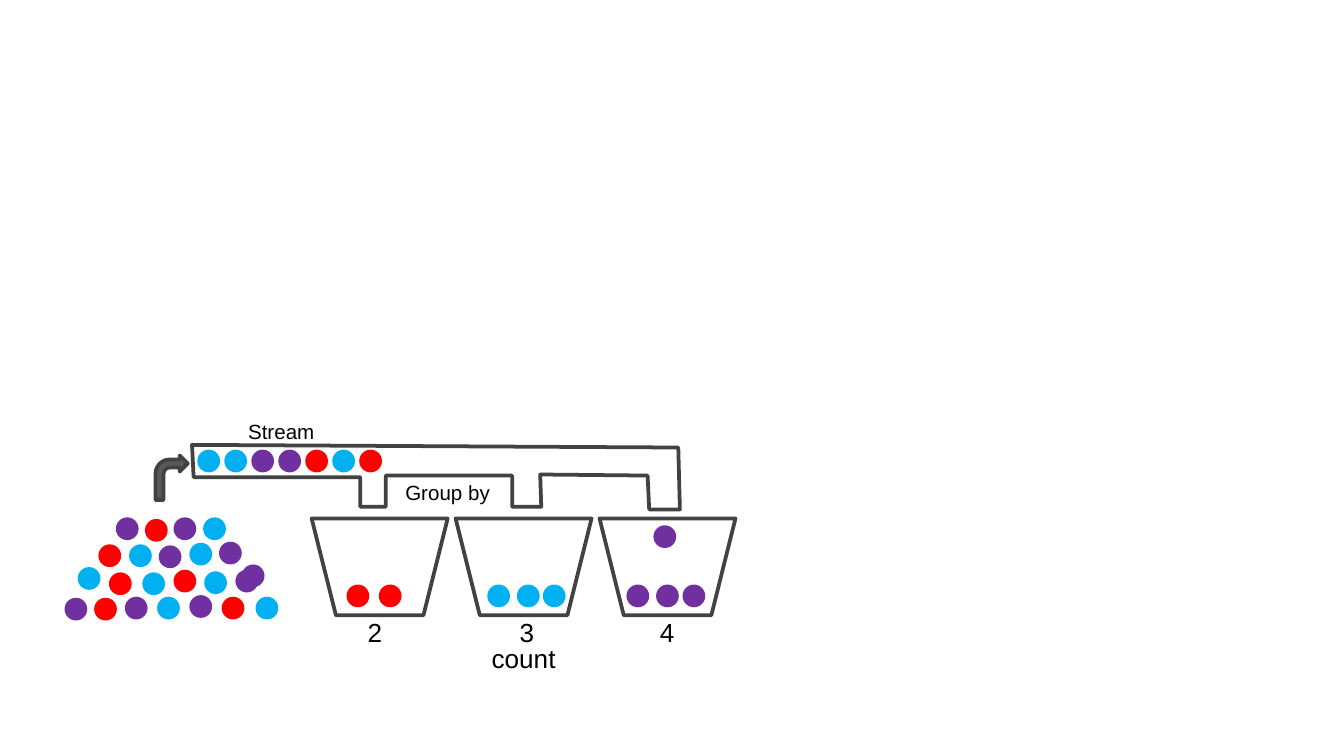
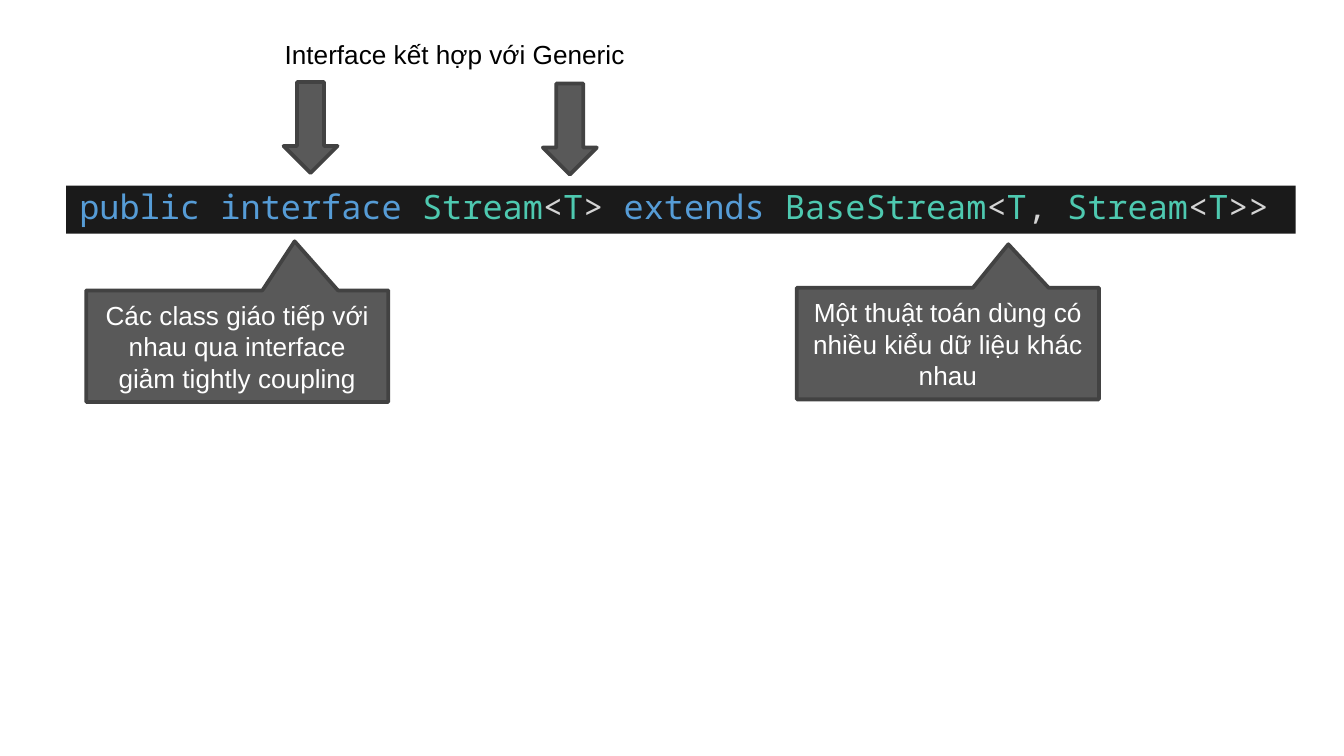
from collections import namedtuple
from dataclasses import dataclass

from pptx import Presentation
from pptx.dml.color import RGBColor as Rgb
from pptx.enum.shapes import MSO_SHAPE as Kind
from pptx.enum.text import MSO_ANCHOR as Anchor, MSO_AUTO_SIZE as Fit, PP_ALIGN as Align
from pptx.util import Cm, Pt


@dataclass(frozen=True)
class Theme:
    ink: str = "000000"
    white: str = "FFFFFF"
    grey: str = "595959"
    edge: str = "424242"
    code: str = "1A1A1A"
    red: str = "FF0000"
    blue: str = "00B0F0"
    plum: str = "7030A0"
    key: str = "569CD6"
    kind: str = "4EC9B0"
    sign: str = "D4D4D4"
    font: str = "Arial"
    mono: str = "Noto Sans Mono"
    small: int = 11
    body: int = 14
    big: int = 18
    stroke: int = 2


T = Theme()
BALL = 0.43
BALLS = {"R": T.red, "B": T.blue, "P": T.plum}


class Box(namedtuple("Box", "x y w h")):
    """A rectangle in centimetres."""

    def sub(self, x, y, w, h):
        """A box placed relative to this one's top left corner."""
        return Box(self.x + x, self.y + y, w, h)

    def emu(self):
        return [Cm(v) for v in self]


def paint(shape, fill=None, line=None):
    shape.shadow.inherit = False
    if fill:
        shape.fill.solid()
        shape.fill.fore_color.rgb = Rgb.from_string(fill)
    else:
        shape.fill.background()
    if line:
        shape.line.color.rgb = Rgb.from_string(line)
        shape.line.width = Pt(T.stroke)
    else:
        shape.line.fill.background()
    return shape


def draw(slide, kind, box, fill=None, line=None):
    return paint(slide.shapes.add_shape(kind, *box.emu()), fill, line)


def style(para, size, color=None, font=T.font):
    para.font.size = Pt(size)
    para.font.name = font
    if color:
        para.font.color.rgb = Rgb.from_string(color)


def label(slide, box, text, size=T.body, wrap=False):
    frame = slide.shapes.add_textbox(*box.emu()).text_frame
    frame.word_wrap = wrap
    frame.auto_size = Fit.SHAPE_TO_FIT_TEXT
    frame.text = text
    style(frame.paragraphs[0], size, T.ink)


def ball(slide, box, hue, x, y):
    draw(slide, Kind.OVAL, box.sub(x, y, BALL, BALL), BALLS[hue])


def heap(slide, box):
    rows = [
        [("P", 0.97, 0), ("R", 1.52, 0.03), ("P", 2.06, 0), ("B", 2.62, 0)],
        [("R", 0.64, 0.51), ("B", 1.22, 0.51), ("P", 1.78, 0.53),
         ("B", 2.36, 0.48), ("P", 2.92, 0.46)],
        [("B", 0.25, 0.94), ("R", 0.84, 1.04), ("B", 1.47, 1.04), ("R", 2.06, 0.99),
         ("B", 2.64, 1.02), ("P", 3.23, 0.99), ("P", 3.35, 0.89)],
        [("P", 0, 1.52), ("R", 0.56, 1.52), ("P", 1.14, 1.5), ("B", 1.75, 1.5),
         ("P", 2.36, 1.47), ("R", 2.97, 1.5), ("B", 3.61, 1.5)],
    ]
    for row in rows:
        for item in row:
            ball(slide, box, *item)


def pipe(slide, box):
    """The stream pipe with three outlets, its queue of balls and its labels."""
    for i, hue in enumerate("BBPPRBR"):
        ball(slide, box, hue, 0.1 + 0.51 * i, 0.09)
    edge = [(0.03, 0.61), (3.18, 0.61), (3.18, 1.17), (3.66, 1.17), (3.66, 0.58),
            (6.05, 0.58), (6.05, 1.17), (6.6, 1.17), (6.58, 0.56), (8.61, 0.58),
            (8.64, 1.22), (9.22, 1.22), (9.19, 0.05), (0, 0)]
    start, *rest = [(Cm(x), Cm(y)) for x, y in edge]
    form = slide.shapes.build_freeform(*start)
    form.add_line_segments(rest, close=True)
    paint(form.convert_to_shape(Cm(box.x), Cm(box.y)), line=T.edge)
    draw(slide, Kind.BENT_ARROW, box.sub(-0.69, 0.2, 0.61, 0.84), T.grey, T.edge)
    label(slide, box.sub(0.81, -0.61, 2.11, 0.74), "Stream", T.small, True)
    label(slide, box.sub(3.78, 0.53, 2.24, 0.74), "Group by", T.small, True)


def bucket(slide, box, hue, lefts, count, left):
    cup = draw(slide, Kind.TRAPEZOID, box, line=T.edge)
    cup.rotation = 180
    for x in lefts:
        ball(slide, box, hue, x, 1.25)
    label(slide, box.sub(left, 1.73, 0.79, 0.86), count)


def flow(slide, box):
    """Balls leave a heap, pass the pipe and are counted by colour."""
    heap(slide, box.sub(1.22, 9.78, 4.04, 1.95))
    pipe(slide, box.sub(3.63, 8.41, 9.25, 1.22))
    cups = [("R", [0.66, 1.27], "2", 0.81),
            ("B", [0.6, 1.16, 1.65], "3", 0.96),
            ("P", [0.51, 1.07, 1.57], "4", 0.89)]
    for i, cup in enumerate(cups):
        place = box.sub(5.89 + 2.72 * i, 9.8, 2.57, 1.83)
        bucket(slide, place, *cup)
    ball(slide, place, "P", 1.02, 0.13)
    label(slide, box.sub(9.04, 12.01, 1.73, 0.86), "count")


def banner(slide, box):
    """One line of highlighted code on a dark bar."""
    frame = draw(slide, Kind.RECTANGLE, box, T.code).text_frame
    frame.word_wrap = True
    frame.auto_size = Fit.SHAPE_TO_FIT_TEXT
    frame.vertical_anchor = Anchor.TOP
    para = frame.paragraphs[0]
    para.alignment = Align.LEFT
    para.line_spacing = Pt(T.big)
    style(para, T.big, font=T.mono)
    parts = [("public interface ", T.key), ("Stream", T.kind), ("<", T.sign),
             ("T", T.kind), ("> ", T.sign), ("extends ", T.key),
             ("BaseStream", T.kind), ("<", T.sign), ("T", T.kind), (", ", T.sign),
             ("Stream", T.kind), ("<", T.sign), ("T", T.kind), (">>", T.sign)]
    for text, color in parts:
        run = para.add_run()
        run.text = text
        run.font.color.rgb = Rgb.from_string(color)


def callout(slide, box, text, tip):
    """A callout; tip is its point's offset from the centre, in box sizes."""
    shape = draw(slide, Kind.RECTANGULAR_CALLOUT, box, T.grey, T.edge)
    shape.adjustments[0], shape.adjustments[1] = tip
    frame = shape.text_frame
    frame.word_wrap = True
    frame.vertical_anchor = Anchor.MIDDLE
    frame.text = text
    para = frame.paragraphs[0]
    para.alignment = Align.CENTER
    style(para, T.body, T.white)


def syntax(slide, box):
    """The interface declaration with arrows above and callouts below."""
    banner(slide, box.sub(1.25, 3.51, 23.24, 0.91))
    for x, y in [(5.36, 1.55), (10.26, 1.58)]:
        draw(slide, Kind.DOWN_ARROW, box.sub(x, y, 1.02, 1.72), T.grey, T.edge)
    label(slide, box.sub(5.13, 0.61, 6.96, 0.86), "Interface kết hợp với Generic")
    callout(slide, box.sub(1.63, 5.49, 5.71, 2.11),
            "Các class giáo tiếp với nhau qua interface giảm tightly coupling",
            (0.19, -0.94))
    callout(slide, box.sub(15.06, 5.44, 5.71, 2.11),
            "Một thuật toán dùng có nhiều kiểu dữ liệu khác nhau",
            (0.2, -0.89))


def main():
    deck = Presentation()
    page = Box(0, 0, 25.4, 14.29)
    deck.slide_width, deck.slide_height = page.emu()[2:]
    for build in (flow, syntax):
        build(deck.slides.add_slide(deck.slide_layouts[6]), page)
    deck.save("out.pptx")


if __name__ == "__main__":
    main()
